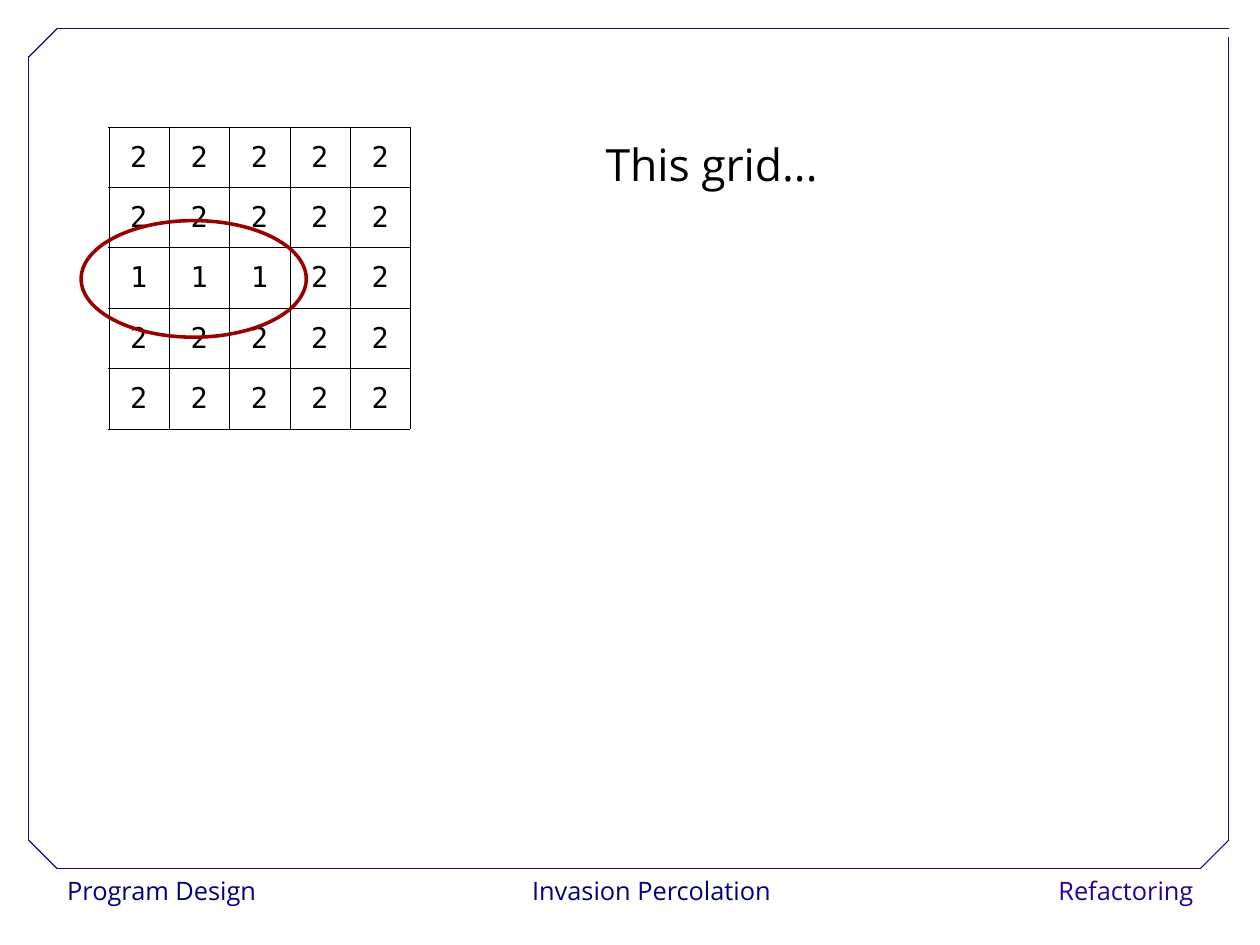
import lxml.etree
import pptx
import pptx.dml.color
import pptx.enum.shapes
import pptx.enum.text
import pptx.oxml.ns
import pptx.util

Inches = pptx.util.Inches
Pt = pptx.util.Pt
RGBColor = pptx.dml.color.RGBColor
Align = pptx.enum.text.PP_ALIGN
Anchor = pptx.enum.text.MSO_ANCHOR
Preset = pptx.enum.shapes.MSO_SHAPE
qn = pptx.oxml.ns.qn

BLACK = RGBColor(0x00, 0x00, 0x00)
WHITE = RGBColor(0xFF, 0xFF, 0xFF)
NAVY = RGBColor(0x00, 0x00, 0x80)
VIOLET = RGBColor(0x28, 0x00, 0x99)
RED = RGBColor(0x99, 0x00, 0x00)

CM_PER_INCH = 2.54
GRID = ["22222", "22222", "11122", "22222", "22222"]
FOOTERS = [
    ("Program Design", 0.49, 1.8, Align.LEFT, NAVY),
    ("Invasion Percolation", 4.58, 2.24, Align.CENTER, NAVY),
    ("Refactoring", 9.14, 1.4, Align.RIGHT, VIOLET),
]
FRAME = [
    (0.5, 7.6, 10.5, 7.6),
    (0.25, 7.35, 0.25, 0.49),
    (0.5, 0.25, 10.75, 0.25),
    (10.75, 7.35, 10.75, 0.32),
    (0.25, 0.5, 0.5, 0.25),
    (10.5, 7.6, 10.75, 7.35),
    (0.25, 7.35, 0.5, 7.6),
]


class GridSlide:
    """Draws elements on one slide in a shared style."""

    text_font = "Open Sans"
    grid_font = "DejaVu Sans Mono"

    def __init__(self, presentation):
        self.slide = presentation.slides.add_slide(presentation.slide_layouts[6])
        self.shapes = self.slide.shapes

    def style(self, paragraph, font, size, color, align, spacing=1.02):
        paragraph.alignment = align
        paragraph.line_spacing = spacing
        paragraph.font.name = font
        paragraph.font.size = Pt(size)
        paragraph.font.color.rgb = color

    def preset(self, kind, box):
        shape = self.shapes.add_shape(kind, *map(Inches, box))
        shape.shadow.inherit = False
        return shape

    def footer(self, words, left, width, align, color):
        shape = self.preset(Preset.RECTANGLE, (left, 7.6, width, 0.4))
        shape.fill.solid()
        shape.fill.fore_color.rgb = WHITE
        shape.line.fill.background()
        shape.text_frame.word_wrap = False
        shape.text_frame.vertical_anchor = Anchor.TOP
        paragraph = shape.text_frame.paragraphs[0]
        paragraph.text = words
        self.style(paragraph, self.text_font, 16, color, align)

    def caption(self, words, *box):
        frame = self.shapes.add_textbox(*map(Inches, box)).text_frame
        frame.word_wrap = True
        frame.auto_size = pptx.enum.text.MSO_AUTO_SIZE.SHAPE_TO_FIT_TEXT
        paragraph = frame.paragraphs[0]
        paragraph.text = words
        self.style(paragraph, self.text_font, 28, BLACK, Align.LEFT, 1.5)

    def line(self, *ends):
        connector = self.shapes.add_connector(
            pptx.enum.shapes.MSO_CONNECTOR.STRAIGHT, *map(Inches, ends))
        connector.line.color.rgb = VIOLET
        connector.line.width = Pt(0.75)
        lxml.etree.SubElement(connector._element.spPr, qn("a:effectLst"))

    def borders(self, cell):
        properties = cell._tc.get_or_add_tcPr()
        for side in ("a:lnL", "a:lnR", "a:lnT", "a:lnB"):
            border = lxml.etree.SubElement(properties, qn(side), w=str(Pt(0.06)))
            fill = lxml.etree.SubElement(border, qn("a:solidFill"))
            lxml.etree.SubElement(fill, qn("a:srgbClr"), val=str(BLACK))

    def grid(self, rows, left, top, side):
        frame = self.shapes.add_table(
            len(rows), len(rows[0]), *map(Inches, (left, top, side, side)))
        table = frame.table
        table.first_row = False
        table.horz_banding = False
        for row, values in enumerate(rows):
            for column, value in enumerate(values):
                cell = table.cell(row, column)
                cell.text = value
                cell.vertical_anchor = Anchor.MIDDLE
                self.borders(cell)
                cell.fill.background()
                self.style(cell.text_frame.paragraphs[0], self.grid_font, 18,
                           BLACK, Align.CENTER)

    def ellipse(self, *box):
        shape = self.preset(Preset.OVAL, box)
        shape.fill.background()
        shape.line.color.rgb = RED
        shape.line.width = Pt(2.25)


def main():
    presentation = pptx.Presentation()
    presentation.slide_width = Inches(28 / CM_PER_INCH)
    presentation.slide_height = Inches(21 / CM_PER_INCH)
    slide = GridSlide(presentation)
    for footer in FOOTERS:
        slide.footer(*footer)
    for ends in FRAME:
        slide.line(*ends)
    slide.grid(GRID, 0.95, 1.11, 2.64)
    slide.caption("This grid...", 5.2, 0.92, 4.86, 0.8)
    slide.ellipse(0.71, 1.93, 1.97, 1.02)
    presentation.save("out.pptx")


if __name__ == "__main__":
    main()
